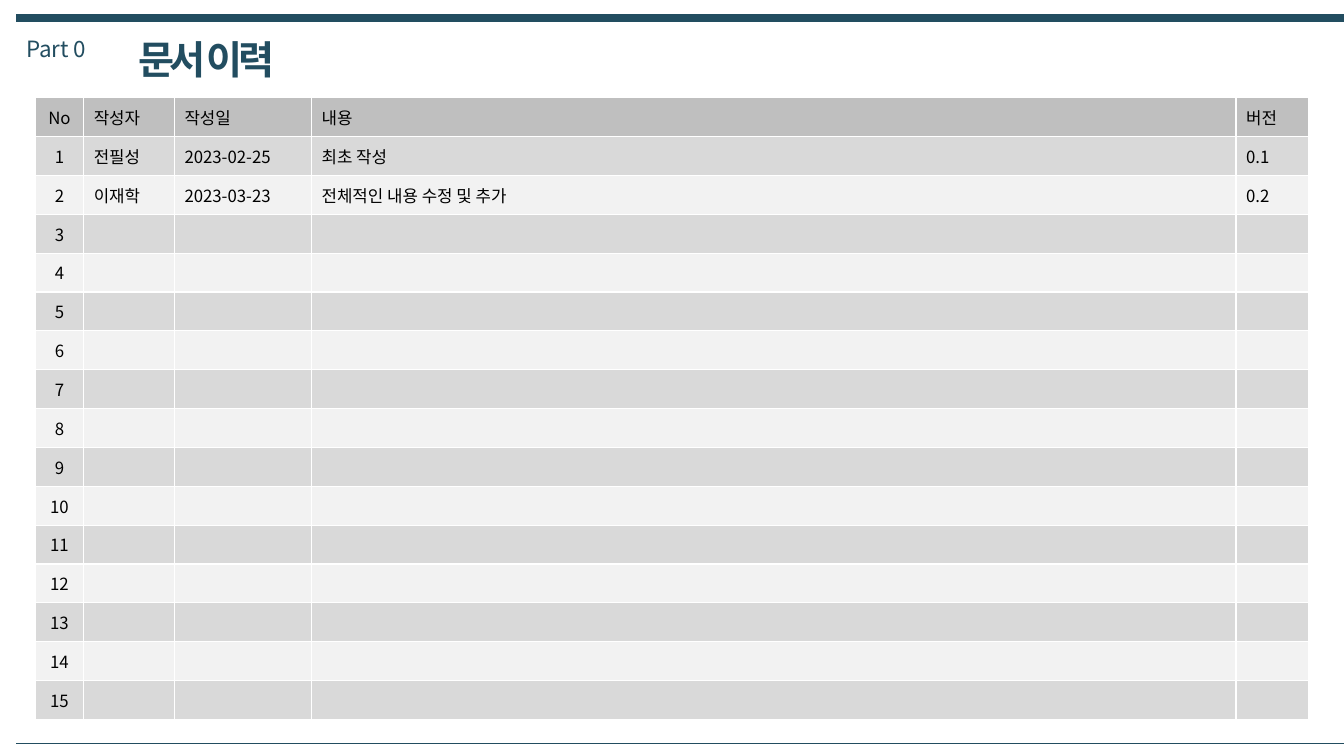
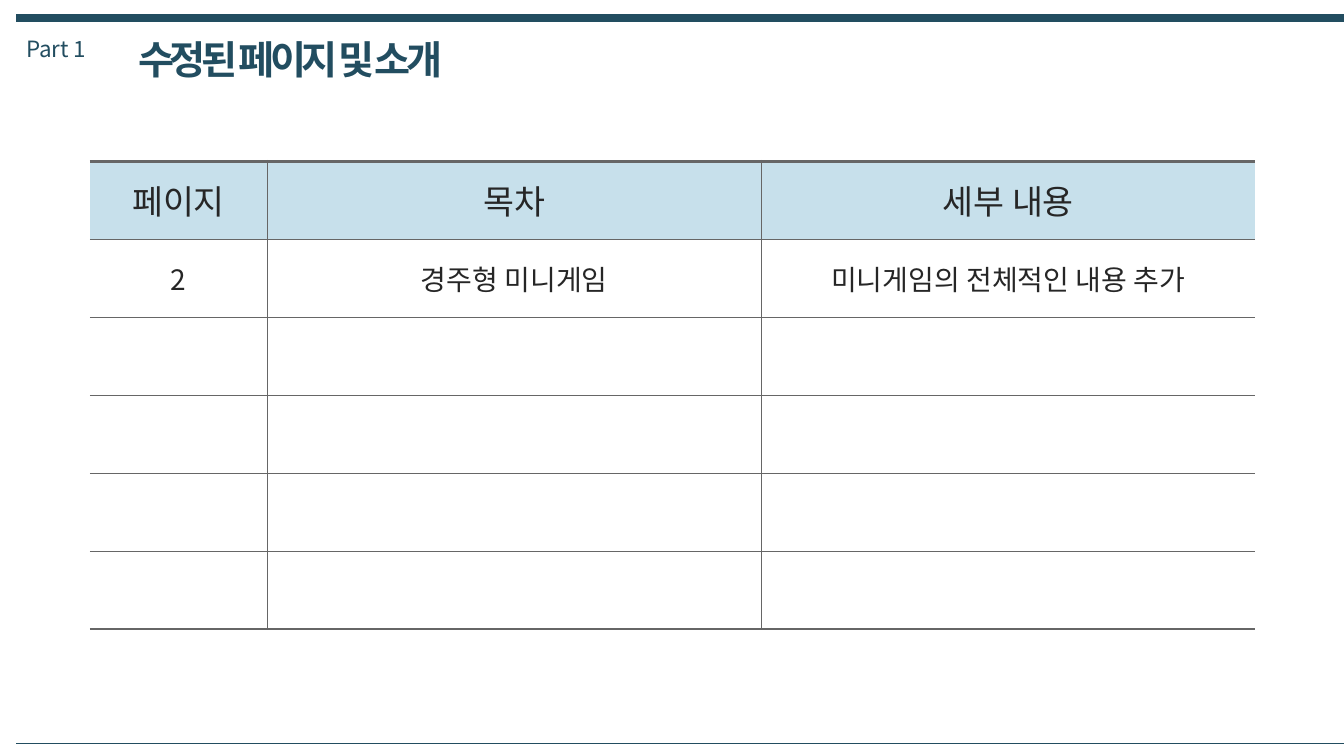
from pptx import Presentation, util as u
from pptx.dml import color
from pptx.enum import shapes, text
from pptx.oxml import ns
from lxml import etree

FONT = "Noto Sans CJK KR"
NAVY, WHITE, BLACK = "224D60", "FFFFFF", "000000"
CHARCOAL, RULE_GRAY, PALE_BLUE = "262626", "666666", "C7E0EB"
HEADER_GRAY, BAND_GRAYS = "BFBFBF", ("D9D9D9", "F2F2F2")
LINE_LEFT, SLIDE_WIDTH = 0.16, 13.33

HISTORY = [
    ("No", "작성자", "작성일", "내용", "버전"),
    ("1", "전필성", "2023-02-25", "최초 작성", "0.1"),
    ("2", "이재학", "2023-03-23", "전체적인 내용 수정 및 추가", "0.2"),
] + [(str(number), "", "", "", "") for number in range(3, 16)]

CHANGES = [
    ("페이지", "목차", "세부 내용"),
    ("2", "경주형 미니게임", "미니게임의 전체적인 내용 추가"),
] + [("", "", "")] * 4


def rgb(value):
    return color.RGBColor.from_string(value)


def style(paragraph, size, ink, bold=False, spacing=None, centred=False):
    paragraph.alignment = text.PP_ALIGN.CENTER if centred else text.PP_ALIGN.LEFT
    font = paragraph.font
    font.name, font.size, font.bold = FONT, u.Pt(size), bold
    font.color.rgb = rgb(ink)
    properties = paragraph._p.get_or_add_pPr().find(ns.qn("a:defRPr"))
    etree.SubElement(properties, ns.qn("a:ea"), typeface=FONT)
    if spacing is not None:
        properties.set("spc", str(spacing * 100))


def place_label(shape, wording, left, width, height, size, **look):
    shape.left, shape.top = u.Inches(left), u.Inches(0.3)
    shape.width, shape.height = u.Inches(width), u.Inches(height)
    frame = shape.text_frame
    frame.text = wording
    frame.word_wrap = False
    frame.auto_size = text.MSO_AUTO_SIZE.SHAPE_TO_FIT_TEXT
    frame.vertical_anchor = text.MSO_ANCHOR.TOP
    style(frame.paragraphs[0], size, NAVY, **look)


def add_rule(slide, top, weight):
    rule = slide.shapes.add_connector(
        shapes.MSO_CONNECTOR.STRAIGHT,
        u.Inches(LINE_LEFT), u.Inches(top), u.Inches(SLIDE_WIDTH), u.Inches(top))
    rule.line.color.rgb = rgb(NAVY)
    rule.line.width = u.Pt(weight)
    etree.SubElement(rule._element.spPr, ns.qn("a:effectLst"))


def add_page(presentation, part, title, title_width):
    slide = presentation.slides.add_slide(presentation.slide_layouts[5])
    add_rule(slide, 0.18, 6)
    label = slide.shapes.add_textbox(0, 0, 0, 0)
    place_label(label, part, 0.16, 0.8, 0.37, 16)
    place_label(slide.shapes.title, title, 1.27, title_width, 0.57, 28,
                bold=True, spacing=-3)
    add_rule(slide, 7.37, 0.25)
    return slide


def set_borders(cell, ink, weights):
    properties = cell._tc.get_or_add_tcPr()
    for position, (side, weight) in enumerate(zip("LRTB", weights)):
        border = etree.Element(ns.qn(f"a:ln{side}"), w=str(u.Pt(weight)))
        if weight:
            fill = etree.SubElement(border, ns.qn("a:solidFill"))
            etree.SubElement(fill, ns.qn("a:srgbClr"), val=ink)
        else:
            etree.SubElement(border, ns.qn("a:noFill"))
        properties.insert(position, border)


def add_grid(slide, rows, widths, left, top, height, look):
    frame = slide.shapes.add_table(
        len(rows), len(widths), u.Inches(left), u.Inches(top),
        u.Inches(sum(widths)), u.Inches(height))
    table = frame.table
    table.first_row = table.horz_banding = False
    for column, width in zip(table.columns, widths):
        column.width = u.Inches(width)
    for row_index, values in enumerate(rows):
        table.rows[row_index].height = u.Inches(height / len(rows))
        for column_index, value in enumerate(values):
            cell = table.cell(row_index, column_index)
            size, ink, fill, centred, line, weights = look(row_index, column_index)
            cell.text = value
            cell.margin_top = cell.margin_bottom = 0
            cell.vertical_anchor = text.MSO_ANCHOR.MIDDLE
            cell.fill.solid()
            cell.fill.fore_color.rgb = rgb(fill)
            style(cell.text_frame.paragraphs[0], size, ink, centred=centred)
            set_borders(cell, line, weights)


def history_look(row, column):
    fill = BAND_GRAYS[(row - 1) % 2] if row else HEADER_GRAY
    return 12, BLACK, fill, column == 0, WHITE, (1, 1, 1, 1)


def changes_look(row, column):
    thin, thick = 0.75, 2.25
    weights = (
        thin if column > 0 else 0,
        thin if column < len(CHANGES[0]) - 1 else 0,
        thin if row > 0 else thick,
        thin if row < len(CHANGES) - 1 else thick,
    )
    size, fill = (20, WHITE) if row else (24, PALE_BLUE)
    return size, CHARCOAL, fill, True, RULE_GRAY, weights


def main():
    presentation = Presentation()
    presentation.slide_width = u.Inches(SLIDE_WIDTH)
    presentation.slide_height = u.Inches(7.5)

    history = add_page(presentation, "Part 0", "문서 이력", 1.62)
    add_grid(history, HISTORY, (0.48, 0.9, 1.36, 9.17, 0.72),
             0.35, 0.97, 6.17, history_look)

    changes = add_page(presentation, "Part 1", "수정된 페이지 및 소개", 3.44)
    add_grid(changes, CHANGES, (1.76, 4.9, 4.9),
             0.89, 1.6, 4.64, changes_look)

    presentation.save("out.pptx")


if __name__ == "__main__":
    main()
